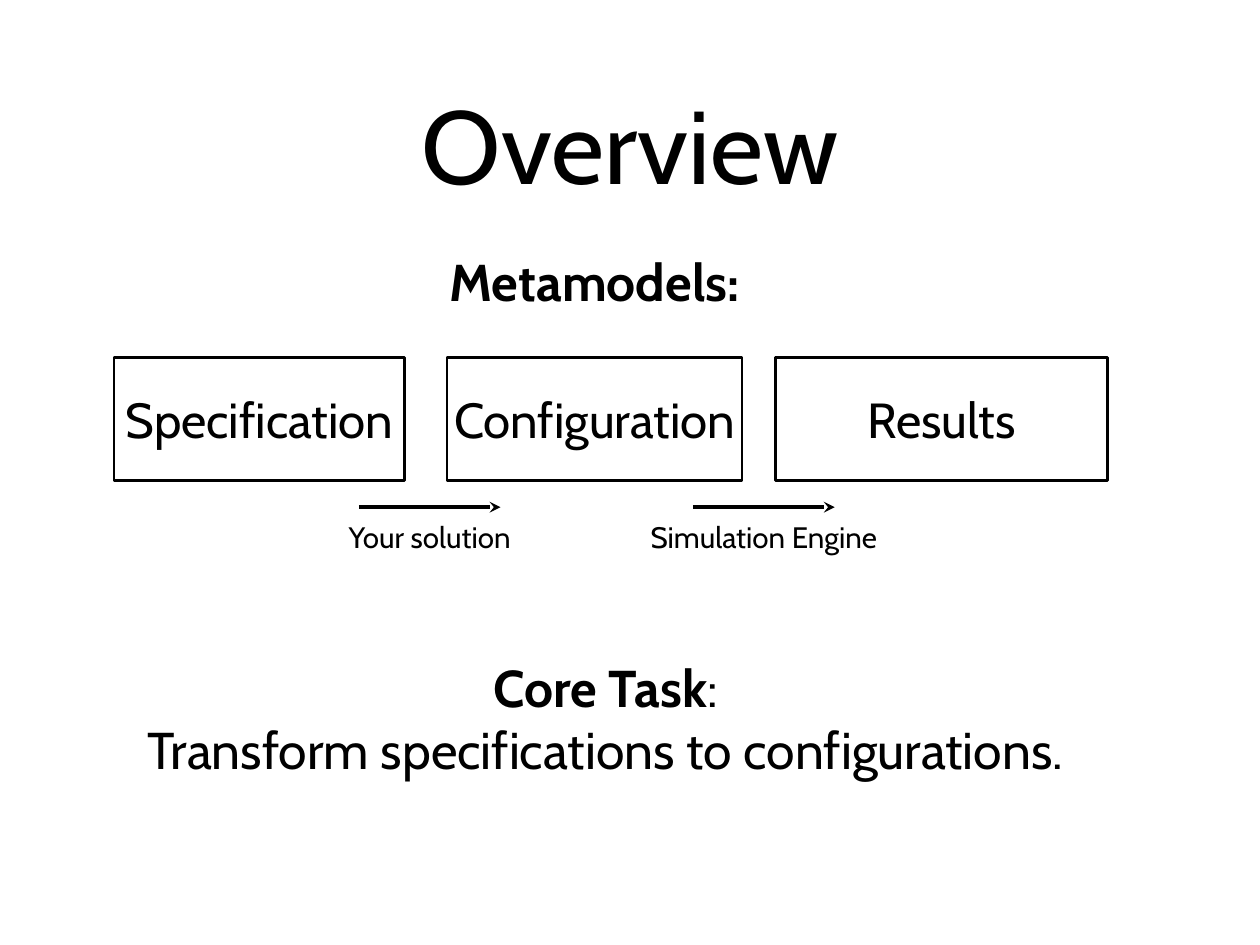
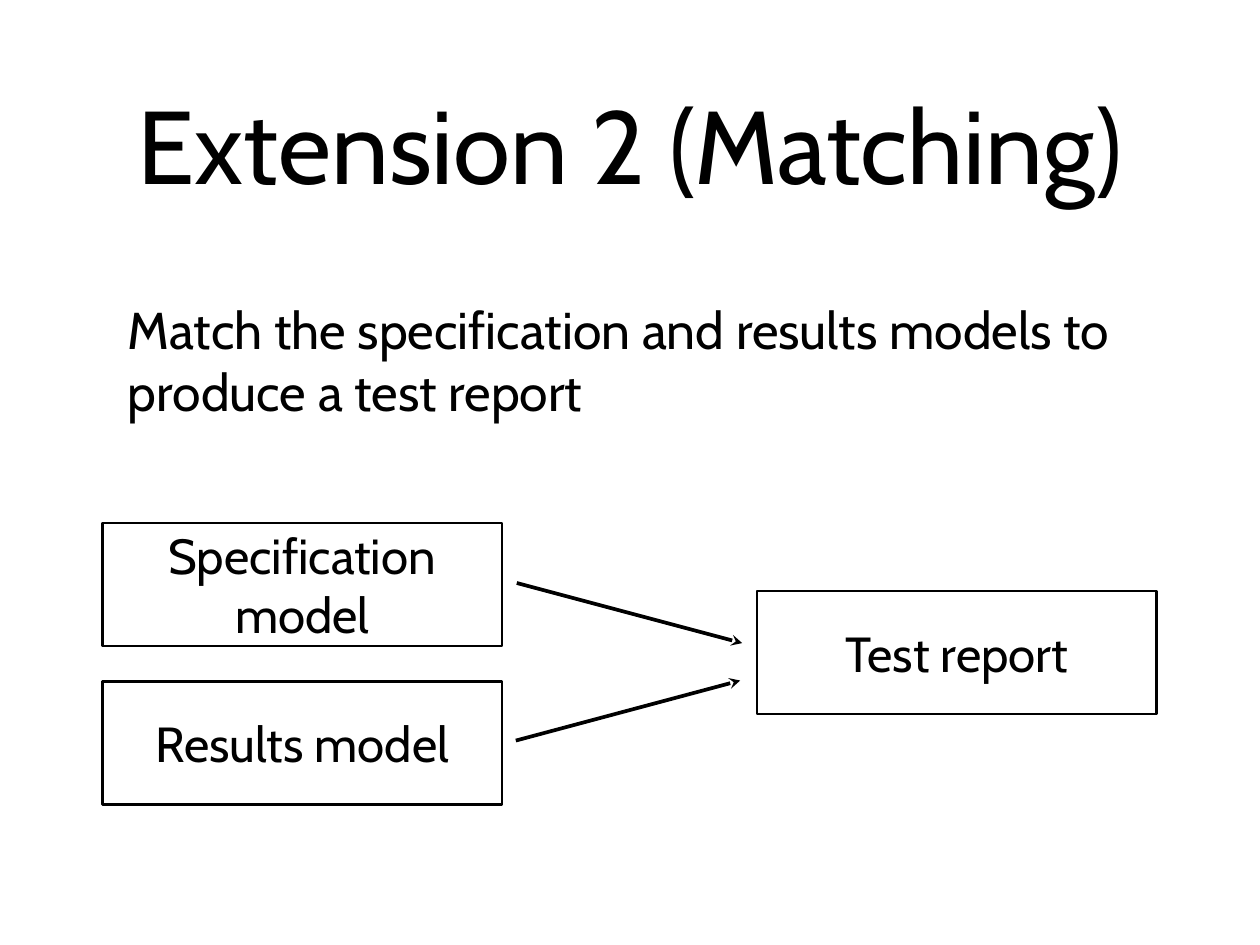
import pptx
import pptx.util
import pptx.dml.color
import pptx.enum.shapes
import pptx.enum.text
import lxml.etree
import pptx.oxml.ns

FONT, INK = "Cabin", "000000"
TITLE_PT, BODY_PT, BOX_PT, LABEL_PT = 84, 42, 40, 24
BOX_H = 12.5
CENTER = pptx.enum.text.PP_ALIGN.CENTER
LEFT = pptx.enum.text.PP_ALIGN.LEFT

# The slide is a grid of 128 columns by 96 rows of square cells
prs = pptx.Presentation()
prs.slide_width = pptx.util.Inches(14.22)
prs.slide_height = pptx.util.Inches(10.66)
CELL = prs.slide_width / 128
color = pptx.dml.color.RGBColor.from_string


def add_text(s, text, x, y, w, h, size, align=CENTER, bold=False, boxed=False):
    """Place text in a frame given in grid cells, with an outline if boxed."""
    frame = [round(v * CELL) for v in (x, y, w, h)]
    if boxed:
        sp = s.shapes.add_shape(pptx.enum.shapes.MSO_SHAPE.RECTANGLE, *frame)
        sp.shadow.inherit = False
        sp.fill.background()
        sp.line.color.rgb = color(INK)
        sp.line.width = pptx.util.Pt(2)
    else:
        sp = s.shapes.add_textbox(*frame)
    tf = sp.text_frame
    tf.word_wrap = True
    tf.vertical_anchor = pptx.enum.text.MSO_ANCHOR.MIDDLE
    tf.margin_left = tf.margin_right = tf.margin_top = tf.margin_bottom = 0
    tf.text = text
    for p in tf.paragraphs:
        p.alignment = align
        for r in p.runs:
            r.font.name = FONT
            r.font.size = pptx.util.Pt(size)
            r.font.bold = bold
            r.font.color.rgb = color(INK)
    return sp


def add_arrow(s, x1, y1, x2, y2):
    """Draw an arrow that points to its second end, in grid cells."""
    ends = [round(v * CELL) for v in (x1, y1, x2, y2)]
    arrow = s.shapes.add_connector(pptx.enum.shapes.MSO_CONNECTOR.STRAIGHT, *ends)
    arrow.line.color.rgb = color(INK)
    arrow.line.width = pptx.util.Pt(3)
    qn = pptx.oxml.ns.qn
    lxml.etree.SubElement(arrow.line._get_or_add_ln(), qn("a:tailEnd"), type="stealth")
    lxml.etree.SubElement(arrow._element.spPr, qn("a:effectLst"))


# Both slides share the title
slides = []
for title in ("Overview", "Extension 2 (Matching)"):
    s = prs.slides.add_slide(prs.slide_layouts[6])
    add_text(s, title, 13, 2.5, 102, 24, TITLE_PT)
    slides.append(s)
overview, matching = slides

# Overview: the three metamodels
add_text(overview, "Metamodels:", 30.8, 25, 59.2, 7.1, BODY_PT, bold=True)
for name, x, w in (("Specification", 11.6, 29.5),
                   ("Configuration", 45.4, 30),
                   ("Results", 78.8, 33.7)):
    add_text(overview, name, x, 36.3, w, BOX_H, BOX_PT, boxed=True)

# Overview: steps between the metamodels, each label centred under its arrow
ARROW_W, LABEL_W = 14.4, 30
for step, middle in (("Your solution", 43.65), ("Simulation Engine", 77.6)):
    add_arrow(overview, middle - ARROW_W / 2, 51.5, middle + ARROW_W / 2, 51.5)
    add_text(overview, step, middle - LABEL_W / 2, 52.7, LABEL_W, 3.6, LABEL_PT)

# Overview: core task, with only its name in bold
task = add_text(overview, "Core Task\nTransform specifications to configurations.",
                6.2, 66.2, 110.6, 13.4, BODY_PT)
p = task.text_frame.paragraphs[0]
p.runs[0].font.bold = True
r = p.add_run()
r.text = ":"
r.font.name = FONT
r.font.size = pptx.util.Pt(BODY_PT)
r.font.color.rgb = color(INK)

# Matching: statement, then two models leading to one report
add_text(matching, "Match the specification and results models to produce a test report",
         13, 24.1, 102, 24.8, BODY_PT, align=LEFT)
for name, x, y in (("Specification model", 10.4, 53.1),
                   ("Results model", 10.4, 69.2),
                   ("Test report", 76.9, 60)):
    add_text(matching, name, x, y, 40.6, BOX_H, BOX_PT, boxed=True)
add_arrow(matching, 52.5, 59.2, 75.4, 65.3)
add_arrow(matching, 52.4, 75.2, 75.2, 69.1)

prs.save("out.pptx")
